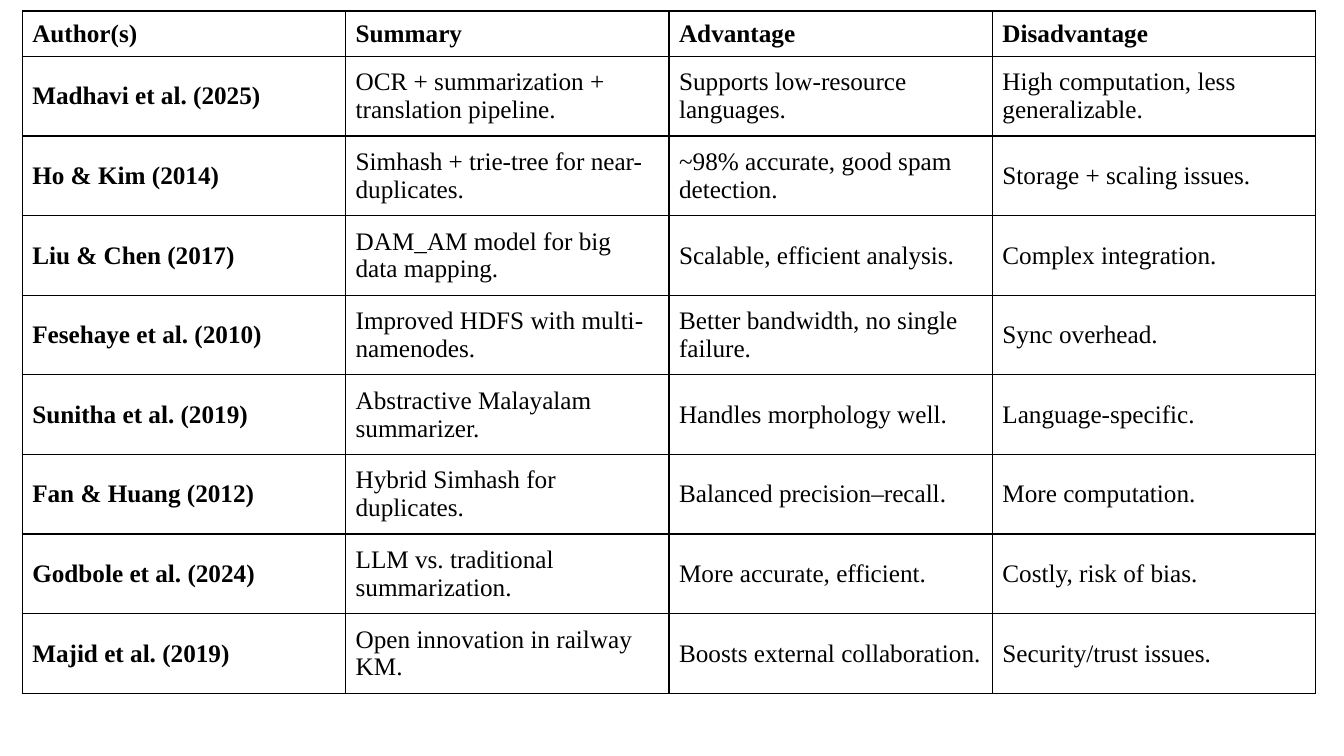
from typing import NamedTuple

from lxml.etree import SubElement
from pptx import Presentation
from pptx.dml.color import RGBColor
from pptx.enum.text import MSO_ANCHOR
from pptx.oxml.ns import qn
from pptx.util import Inches, Pt

FONT = "Times New Roman"
INK = "000000"
PAPER = "FFFFFF"
EDGE = Pt(1)
LEFT, TOP = 0.22, 0.11
WIDTH = 12.83
HEAD_H, ROW_H = 0.45, 0.79


class Study(NamedTuple):
    author: str
    summary: str
    gain: str
    loss: str


HEAD = Study("Author(s)", "Summary", "Advantage", "Disadvantage")
STUDIES = [
    Study("Madhavi et al. (2025)", "OCR + summarization + translation pipeline.",
          "Supports low-resource languages.", "High computation, less generalizable."),
    Study("Ho & Kim (2014)", "Simhash + trie-tree for near-duplicates.",
          "~98% accurate, good spam detection.", "Storage + scaling issues."),
    Study("Liu & Chen (2017)", "DAM_AM model for big data mapping.",
          "Scalable, efficient analysis.", "Complex integration."),
    Study("Fesehaye et al. (2010)", "Improved HDFS with multi-namenodes.",
          "Better bandwidth, no single failure.", "Sync overhead."),
    Study("Sunitha et al. (2019)", "Abstractive Malayalam summarizer.",
          "Handles morphology well.", "Language-specific."),
    Study("Fan & Huang (2012)", "Hybrid Simhash for duplicates.",
          "Balanced precision–recall.", "More computation."),
    Study("Godbole et al. (2024)", "LLM vs. traditional summarization.",
          "More accurate, efficient.", "Costly, risk of bias."),
    Study("Majid et al. (2019)", "Open innovation in railway KM.",
          "Boosts external collaboration.", "Security/trust issues."),
]


def color(code: str) -> RGBColor:
    return RGBColor.from_string(code)


def border(cell) -> None:
    """Draw a thin line on all four sides of a cell."""
    props = cell._tc.get_or_add_tcPr()
    for side in ("lnL", "lnR", "lnT", "lnB"):
        line = SubElement(props, qn(f"a:{side}"), w=str(EDGE))
        fill = SubElement(line, qn("a:solidFill"))
        SubElement(fill, qn("a:srgbClr"), val=INK)


def write(cell, text: str, *, bold: bool = False, size: float = 18) -> None:
    cell.vertical_anchor = MSO_ANCHOR.MIDDLE
    run = cell.text_frame.paragraphs[0].add_run()
    run.text = text
    run.font.name = FONT
    run.font.size = Pt(size)
    run.font.bold = bold
    run.font.color.rgb = color(INK)


def add_grid(slide, rows: list[Study]) -> None:
    heights = [HEAD_H] + [ROW_H] * (len(rows) - 1)
    frame = slide.shapes.add_table(len(rows), len(HEAD), Inches(LEFT), Inches(TOP),
                                   Inches(WIDTH), Inches(sum(heights)))
    table = frame.table
    table.first_row = table.horz_banding = False
    for r, (study, height) in enumerate(zip(rows, heights)):
        table.rows[r].height = Inches(height)
        for c, text in enumerate(study):
            cell = table.cell(r, c)
            border(cell)
            cell.fill.solid()
            cell.fill.fore_color.rgb = color(PAPER)
            write(cell, text, bold=r == 0 or c == 0)


def main() -> None:
    deck = Presentation()
    deck.slide_width, deck.slide_height = Inches(13.33), Inches(7.5)
    slide = deck.slides.add_slide(deck.slide_layouts[6])
    add_grid(slide, [HEAD, *STUDIES])
    deck.save("out.pptx")


if __name__ == "__main__":
    main()
